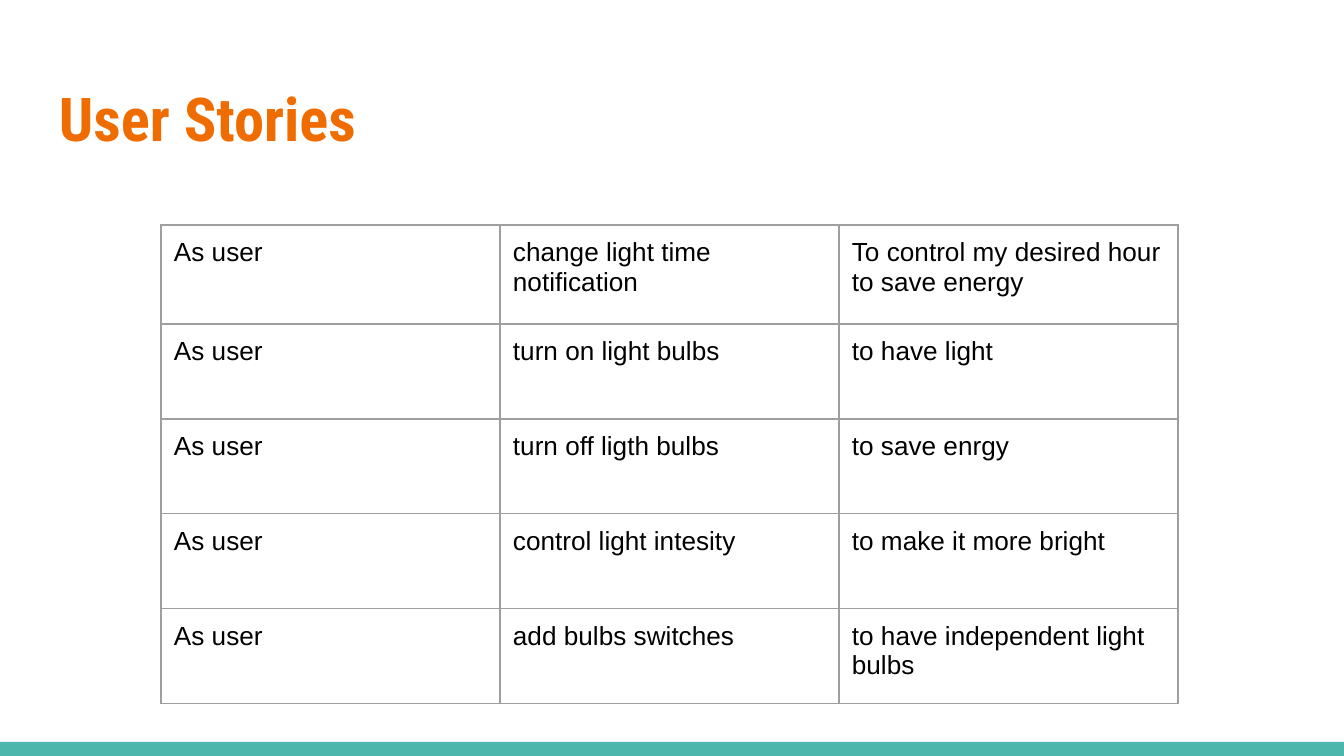
import dataclasses

import lxml.etree
import pptx
import pptx.dml.color
import pptx.enum.shapes
import pptx.enum.text
import pptx.oxml.ns
import pptx.util


@dataclasses.dataclass(frozen=True)
class Theme:
    orange: str = "EF6C00"
    teal: str = "4DB6AC"
    grey: str = "9E9E9E"
    black: str = "000000"
    head: str = "Roboto Condensed"
    body: str = "Arial"
    big: float = 32.4
    small: float = 14
    rule: float = 0.75


THEME = Theme()
SCALE = 914400 / 134.4  # EMU in one px
WIDE, HIGH = 1344, 756
INSET = 13

STORIES = [
    ("As user", "change light time notification",
     "To control my desired hour to save energy"),
    ("As user", "turn on light bulbs", "to have light"),
    ("As user", "turn off ligth bulbs", "to save enrgy"),
    ("As user", "control light intesity", "to make it more bright"),
    ("As user", "add bulbs switches", "to have independent light bulbs"),
]


def px(num):
    return pptx.util.Emu(round(num * SCALE))


def rgb(code):
    return pptx.dml.color.RGBColor.from_string(code)


def pad(item):
    item.margin_left = item.margin_right = px(INSET)
    item.margin_top = item.margin_bottom = px(INSET)


def add_run(para, text, font, size, color, bold=False):
    para.alignment = pptx.enum.text.PP_ALIGN.LEFT
    run = para.add_run()
    run.text = text
    run.font.name = font
    run.font.size = pptx.util.Pt(size)
    run.font.color.rgb = rgb(color)
    run.font.bold = bold


def add_bar(slide, top, tall):
    bar = slide.shapes.add_shape(
        pptx.enum.shapes.MSO_SHAPE.RECTANGLE, 0, px(top), px(WIDE), px(tall))
    bar.shadow.inherit = False
    bar.fill.solid()
    bar.fill.fore_color.rgb = rgb(THEME.teal)
    bar.line.fill.background()


def set_title(slide, text):
    title = slide.shapes.title
    title.left, title.top = px(46), px(66)
    title.width, title.height = px(1253), px(103)
    frame = title.text_frame
    frame.word_wrap = True
    frame.auto_size = pptx.enum.text.MSO_AUTO_SIZE.NONE
    frame.vertical_anchor = pptx.enum.text.MSO_ANCHOR.MIDDLE
    pad(frame)
    add_run(frame.paragraphs[0], text, THEME.head, THEME.big,
            THEME.orange, True)


def set_edges(cell):
    """Draw the four cell borders, which must come before the fill."""
    name = pptx.oxml.ns.qn
    props = cell._tc.get_or_add_tcPr()
    for spot, side in enumerate(("a:lnL", "a:lnR", "a:lnT", "a:lnB")):
        line = lxml.etree.Element(
            name(side), w=str(pptx.util.Pt(THEME.rule)))
        fill = lxml.etree.SubElement(line, name("a:solidFill"))
        lxml.etree.SubElement(fill, name("a:srgbClr"), val=THEME.grey)
        props.insert(spot, line)


def add_grid(slide, rows, left, top, width, highs):
    count = len(rows[0])
    table = slide.shapes.add_table(
        len(rows), count, px(left), px(top),
        px(width * count), px(sum(highs))).table
    table.first_row = table.horz_banding = False
    for col in table.columns:
        col.width = px(width)
    for row, high, texts in zip(table.rows, highs, rows):
        row.height = px(high)
        for cell, text in zip(row.cells, texts):
            pad(cell)
            cell.fill.background()
            set_edges(cell)
            add_run(cell.text_frame.paragraphs[0], text, THEME.body,
                    THEME.small, THEME.black)


def main():
    deck = pptx.Presentation()
    deck.slide_width, deck.slide_height = px(WIDE), px(HIGH)
    slide = deck.slides.add_slide(deck.slide_layouts[5])

    # Bottom band and heading
    add_bar(slide, 742, 14)
    set_title(slide, "User Stories")

    # Stories: who, what, why
    add_grid(slide, STORIES, 161, 225, 339, [99] + [95] * 4)

    deck.save("out.pptx")


if __name__ == "__main__":
    main()
